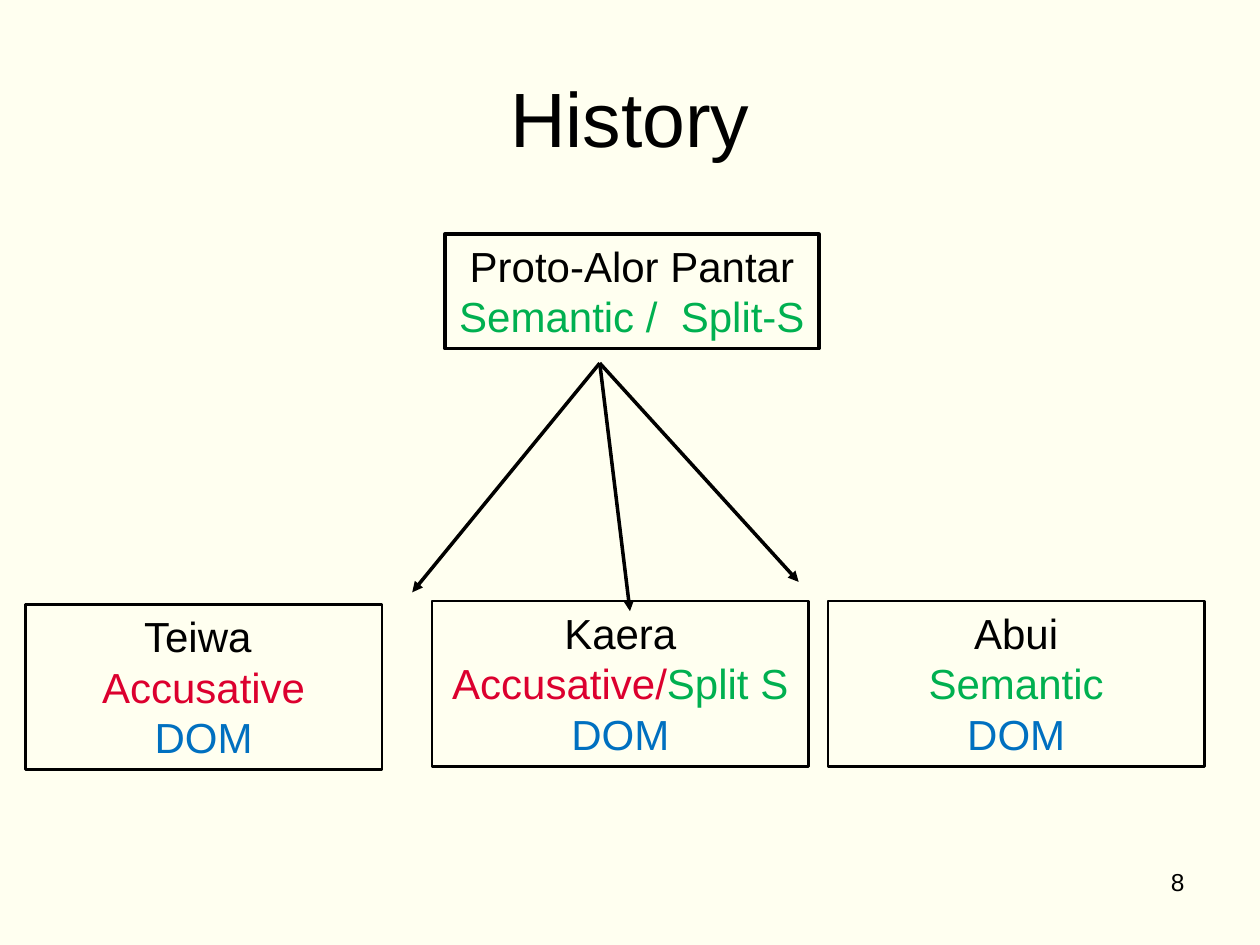
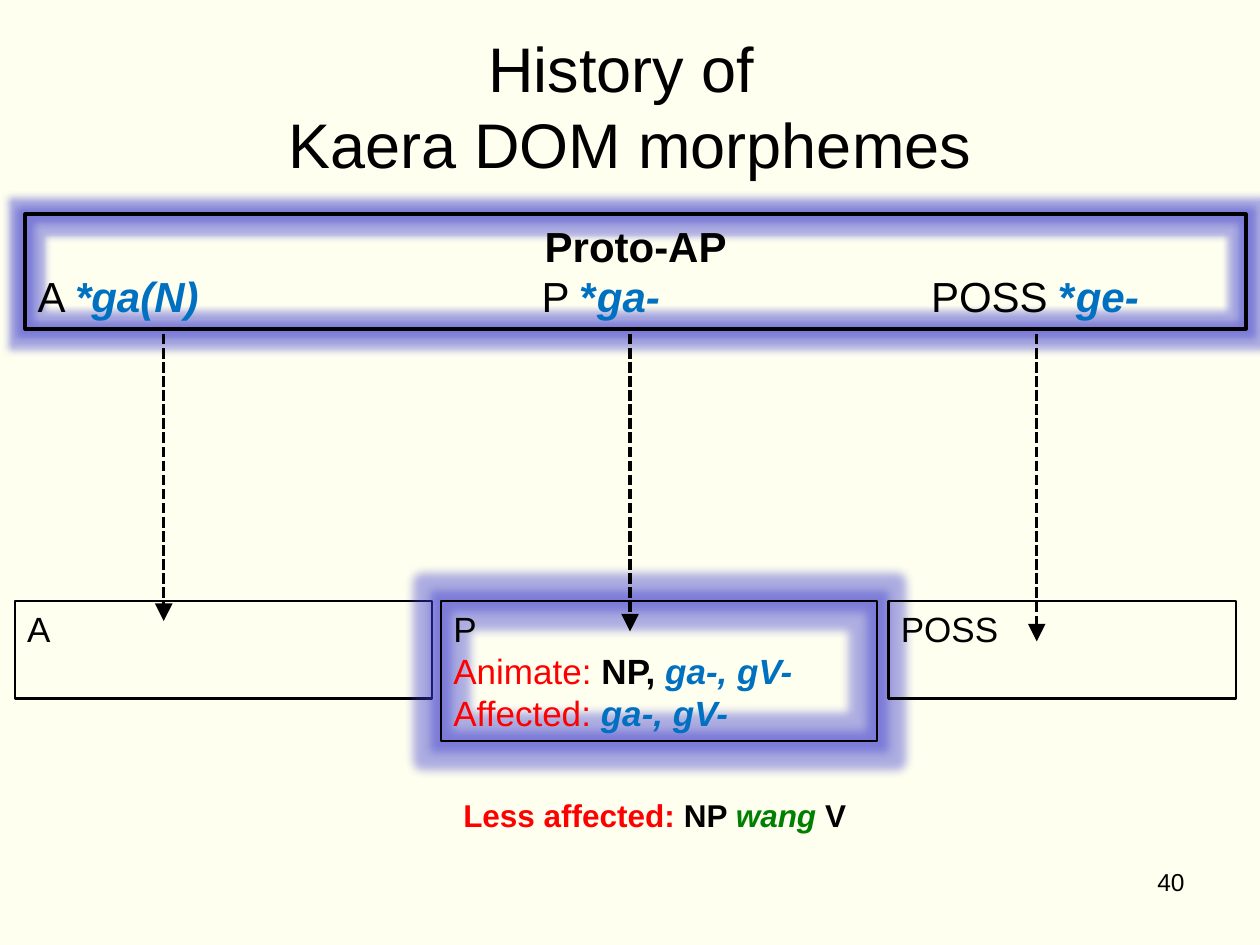
import pptx
import pptx.dml.color
import pptx.enum.dml
import pptx.enum.shapes
import pptx.enum.text
import pptx.oxml.ns
import pptx.util
from lxml import etree

Cm = pptx.util.Cm
Pt = pptx.util.Pt
RGBColor = pptx.dml.color.RGBColor
Align = pptx.enum.text.PP_ALIGN
Anchor = pptx.enum.text.MSO_ANCHOR
qn = pptx.oxml.ns.qn

IVORY = RGBColor(0xFF, 0xFF, 0xF0)
BLACK = RGBColor(0x00, 0x00, 0x00)
CRIMSON = RGBColor(0xDC, 0x00, 0x2E)
RED = RGBColor(0xFF, 0x00, 0x00)
LIME = RGBColor(0x00, 0xB0, 0x50)
GREEN = RGBColor(0x00, 0x80, 0x00)
BLUE = RGBColor(0x00, 0x70, 0xC0)
GLOW = RGBColor(0x33, 0x33, 0xCC)

# Span formats
MORPHEME = dict(color=BLUE, bold=True, italic=True)
STAR = dict(color=BLUE, bold=True)
BOLD = dict(bold=True)


def write(frame, lines, size, align=Align.LEFT, anchor=Anchor.TOP, wrap=True):
    """Fill a frame; a line is a list of (text, format) spans."""
    frame.word_wrap = wrap
    frame.vertical_anchor = anchor
    for index, line in enumerate(lines):
        para = frame.paragraphs[0] if index == 0 else frame.add_paragraph()
        para.alignment = align
        for text, look in line:
            span = para.add_run()
            span.text = text
            span.font.name = "Arial"
            span.font.size = Pt(size)
            span.font.color.rgb = look.get("color", BLACK)
            span.font.bold = look.get("bold", False)
            span.font.italic = look.get("italic", False)


class Deck:
    """Holds the shared style and the current slide."""

    def __init__(self):
        self.file = pptx.Presentation()
        self.file.slide_width = Cm(25.4)
        self.file.slide_height = Cm(19.05)
        self.page = None

    def new_page(self, title_lines, title_top, title_size, number):
        self.page = self.file.slides.add_slide(self.file.slide_layouts[6])
        self.page.background.fill.solid()
        self.page.background.fill.fore_color.rgb = IVORY
        self.text(1.27, title_top, 22.86, 3.18, [[(line, {})] for line in title_lines],
                  size=title_size, align=Align.CENTER, anchor=Anchor.MIDDLE)
        self.text(18.21, 17.35, 5.92, 1.32, [[(number, {})]], size=14, align=Align.RIGHT)

    def text(self, left, top, width, height, lines, **format):
        box = self.page.shapes.add_textbox(Cm(left), Cm(top), Cm(width), Cm(height))
        write(box.text_frame, lines, **format)

    def box(self, left, top, width, height, lines, border=1.5, glow=0, **format):
        box = self.page.shapes.add_shape(
            pptx.enum.shapes.MSO_SHAPE.RECTANGLE, Cm(left), Cm(top), Cm(width), Cm(height))
        box.fill.background()
        box.line.color.rgb = BLACK
        box.line.width = Pt(border)
        box.shadow.inherit = False
        if glow:
            effects = box._element.spPr.find(qn("a:effectLst"))
            halo = etree.SubElement(effects, qn("a:glow"), rad=str(Pt(glow)))
            color = etree.SubElement(halo, qn("a:srgbClr"), val=str(GLOW))
            etree.SubElement(color, qn("a:alpha"), val="40000")
        write(box.text_frame, lines, **format)
        return box

    def arrow(self, start, end, head="med", dashed=False):
        arrow = self.page.shapes.add_connector(
            pptx.enum.shapes.MSO_CONNECTOR.STRAIGHT, *map(Cm, start + end))
        arrow.line.color.rgb = BLACK
        arrow.line.width = Pt(2)
        if dashed:
            arrow.line.dash_style = pptx.enum.dml.MSO_LINE.SQUARE_DOT
        etree.SubElement(arrow.line._get_or_add_ln(), qn("a:tailEnd"),
                         type="triangle", w=head, len=head)
        etree.SubElement(arrow._element.spPr, qn("a:effectLst"))


def set_tabs(para, stops):
    tabs = etree.SubElement(para._p.get_or_add_pPr(), qn("a:tabLst"))
    for stop in stops:
        etree.SubElement(tabs, qn("a:tab"), pos=str(Cm(stop)), algn="l")


def build_history(deck):
    deck.new_page(["History"], 0.76, 44, "8")

    # Ancestor language
    deck.box(8.97, 4.72, 7.54, 2.31,
             [[("Proto-Alor Pantar", {})], [("Semantic /  Split-S", dict(color=LIME))]],
             border=2, size=24, align=Align.CENTER, wrap=False)

    # Daughter languages, each with its alignment type
    accusative = dict(color=CRIMSON)
    semantic = dict(color=LIME)
    daughters = [
        (0.51, 12.19, 7.19, "Teiwa ", [("Accusative", accusative)]),
        (8.71, 12.12, 7.59, "Kaera", [("Accusative/", accusative), ("Split S", semantic)]),
        (16.69, 12.12, 7.59, "Abui", [("Semantic", semantic)]),
    ]
    for left, top, width, name, alignment in daughters:
        deck.box(left, top, width, 3.33,
                 [[(name, {})], alignment, [("DOM", dict(color=BLUE))]],
                 size=24, align=Align.CENTER)

    # Descent
    for end in [(8.31, 11.94), (12.7, 12.32), (16.1, 11.73)]:
        deck.arrow((12.09, 7.32), end)


def build_morphemes(deck):
    deck.new_page(["History of ", "Kaera DOM morphemes"], 0.53, 36, "40")

    # Proto forms, set in three columns by tab stops
    proto = deck.box(0.51, 4.32, 24.61, 2.31, [
        [("Proto-AP", BOLD)],
        [("A ", {}), ("*ga(N)\t", MORPHEME),
         ("P ", {}), ("*", STAR), ("ga-\t", MORPHEME),
         ("POSS ", {}), ("*", STAR), ("ge-", MORPHEME)],
    ], border=2, glow=8, size=24)
    heading, forms = proto.text_frame.paragraphs
    heading.alignment = Align.CENTER
    set_tabs(forms, [10.16, 18.01])

    # Present-day forms
    label = dict(color=RED)
    deck.box(0.3, 12.12, 8.41, 1.96, [[("A", {})]], size=20)
    deck.box(8.89, 12.12, 8.79, 2.82, [
        [("P", {})],
        [("Animate: ", label), ("NP, ", BOLD), ("ga-, gV-", MORPHEME)],
        [("Affected: ", label), ("ga-, gV-", MORPHEME)],
    ], glow=11, size=20)
    deck.box(17.91, 12.12, 7.01, 1.96, [[("POSS", {})]], size=20)

    # Development of each form
    for x, bottom in [(3.3, 12.52), (12.7, 12.73), (20.9, 12.93)]:
        deck.arrow((x, 6.73), (x, bottom), head="lg", dashed=True)

    # Note on less affected objects
    deck.text(9.09, 15.93, 8.31, 1.02, [[
        ("Less affected: ", dict(color=RED, bold=True)), ("NP ", BOLD),
        ("wang", dict(color=GREEN, bold=True, italic=True)), (" V", BOLD),
    ]], size=18, wrap=False)


def main():
    deck = Deck()
    build_history(deck)
    build_morphemes(deck)
    deck.file.save("out.pptx")


if __name__ == "__main__":
    main()
